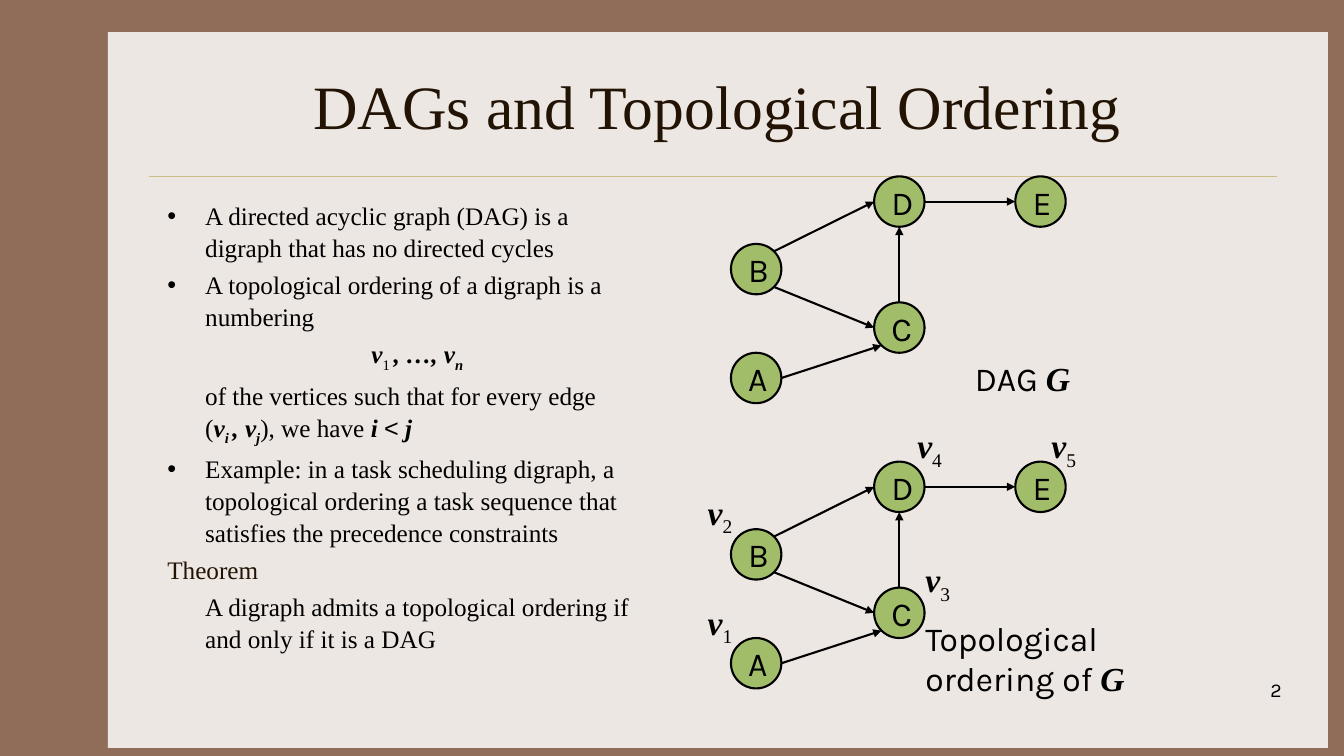
from math import cos, radians, sin

from pptx import Presentation
from pptx import util as u
from pptx.dml.color import RGBColor
from pptx.enum import shapes, text
from pptx.oxml.ns import qn
from lxml import etree

SERIF, SANS = "Times New Roman", "Karla"
BROWN, BLACK = "221304", "000000"
rgb = RGBColor.from_string
inch = u.Inches


def write(p, words, size=24, font=SERIF, color=BLACK, bold=False, italic=False, sub=False):
    """Add one formatted run to paragraph p."""
    r = p.add_run()
    r.text = words
    r.font.size, r.font.name = u.Pt(size), font
    r.font.bold, r.font.italic = bold, italic
    r.font.color.rgb = rgb(color)
    if sub:
        r.font._element.set("baseline", "-25000")


def draw_line(s, start, end, color, width):
    ln = s.shapes.add_connector(shapes.MSO_CONNECTOR.STRAIGHT,
                                *[inch(v) for v in (*start, *end)])
    ln.line.color.rgb, ln.line.width = rgb(color), u.Pt(width)
    etree.SubElement(ln._element.spPr, qn("a:effectLst"))
    return ln


prs = Presentation()
prs.slide_width, prs.slide_height = inch(13.33), inch(7.5)
s = prs.slides.add_slide(prs.slide_layouts[1])
s.background.fill.solid()
s.background.fill.fore_color.rgb = rgb("906D58")
title, body = s.placeholders

# Panel and rule behind the title
panel = s.shapes.add_shape(shapes.MSO_SHAPE.RECTANGLE, inch(1.07), inch(0.32), inch(12.1), inch(7.1))
panel.shadow.inherit = False
panel.fill.solid()
panel.fill.fore_color.rgb = rgb("EDE7E3")
panel.line.fill.background()
rule = draw_line(s, (1.48, 1.75), (12.67, 1.75), "CBBD83", 0.25)
for sp in (panel, rule):
    title._element.addprevious(sp._element)

# Title
title.left, title.top, title.width, title.height = inch(1.56), inch(0.42), inch(11.11), inch(1.25)
title.text_frame.vertical_anchor = text.MSO_ANCHOR.MIDDLE
write(title.text_frame.paragraphs[0], "DAGs and Topological Ordering", size=44, color=BROWN)

# Body: (bulleted, runs)
math = dict(bold=True, italic=True)
math_sub = dict(math, sub=True)
points = [
    (True, [("A directed acyclic graph (DAG) is a digraph that has no directed cycles", {})]),
    (True, [("A topological ordering of a digraph is a numbering", {})]),
    (False, [("\tv", math), ("1 ", dict(sub=True)), (", …, v", math), ("n ", math_sub)]),
    (False, [("\tof the vertices such that for every edge (", {}), ("v", math), ("i ", math_sub),
             (", v", math), ("j", math_sub), ("), we have ", {}), ("i ", math),
             ("<", dict(font="Arial")), (" j", math)]),
    (True, [("Example: in a task scheduling digraph, a topological ordering a task sequence "
             "that satisfies the precedence constraints", {})]),
    (False, [("Theorem", dict(color=BROWN))]),
    (False, [("\tA digraph admits a topological ordering if and only if it is a DAG", {})]),
]
body.left, body.top, body.width, body.height = inch(1.56), inch(1.92), inch(4.82), inch(4.5)
tf = body.text_frame
tf.auto_size = text.MSO_AUTO_SIZE.NONE
for i, (bulleted, runs) in enumerate(points):
    p = tf.add_paragraph() if i else tf.paragraphs[0]
    if not bulleted:
        etree.SubElement(p._p.get_or_add_pPr(), qn("a:buNone"))
    p.line_spacing = 1.06
    for words, fmt in runs:
        write(p, words, size=18, **fmt)
tf.paragraphs[0].space_before = u.Pt(0)
tf.paragraphs[2].alignment = text.PP_ALIGN.CENTER

# The same graph twice: node centres, and edges with the angle at each end
RADIUS = 0.25
nodes = {"B": (7.5, 2.67), "A": (7.5, 3.75), "D": (8.92, 2), "C": (8.92, 3.25), "E": (10.32, 2)}
edges = [("B", 45, "D", 180), ("B", -45, "C", 180), ("D", 0, "E", 180),
         ("C", 90, "D", -90), ("A", 0, "C", 225)]
for drop in (0, 2.83):
    for name, (x, y) in nodes.items():
        sp = s.shapes.add_shape(shapes.MSO_SHAPE.OVAL, inch(x - RADIUS), inch(y + drop - RADIUS),
                                inch(2 * RADIUS), inch(2 * RADIUS))
        sp.shadow.inherit = False
        sp.fill.solid()
        sp.fill.fore_color.rgb = rgb("A1BD69")
        sp.line.color.rgb, sp.line.width = rgb(BLACK), u.Pt(1.5)
        tf = sp.text_frame
        tf.word_wrap, tf.vertical_anchor = False, text.MSO_ANCHOR.MIDDLE
        tf.paragraphs[0].alignment = text.PP_ALIGN.LEFT
        write(tf.paragraphs[0], name, font=SANS)
    for tail, out_angle, head, in_angle in edges:
        start, end = [(nodes[n][0] + RADIUS * cos(radians(a)),
                       nodes[n][1] + drop - RADIUS * sin(radians(a)))
                      for n, a in ((tail, out_angle), (head, in_angle))]
        arrow = draw_line(s, start, end, BLACK, 1.5)
        etree.SubElement(arrow.line._get_or_add_ln(), qn("a:tailEnd"), type="triangle")

# Captions, vertex numbers and page number: (left, top, width, height, wrap, runs)
labels = [
    (9.57, 3.5, 1.19, 0.5, False, [("DAG ", dict(font=SANS)), ("G", math)]),
    (9.08, 6.08, 2.28, 0.91, True, [("Topological ordering of ", dict(font=SANS)), ("G", math)]),
    (10.03, 6.68, 2.78, 0.5, True, [("2", dict(font=SANS, size=14))]),
]
corners = [(6.92, 5.92), (6.92, 4.83), (9.08, 5.5), (9, 4.17), (10.33, 4.17)]
labels += [(x, y, 0.46, 0.5, False, [("v", math), (str(n), dict(sub=True))])
           for n, (x, y) in enumerate(corners, 1)]
for *box, wrap, runs in labels:
    tf = s.shapes.add_textbox(*[inch(v) for v in box]).text_frame
    tf.word_wrap = wrap
    p = tf.paragraphs[0]
    if runs[0][0] == "2":
        p.alignment = text.PP_ALIGN.RIGHT
    for words, fmt in runs:
        write(p, words, **fmt)

prs.save("out.pptx")
